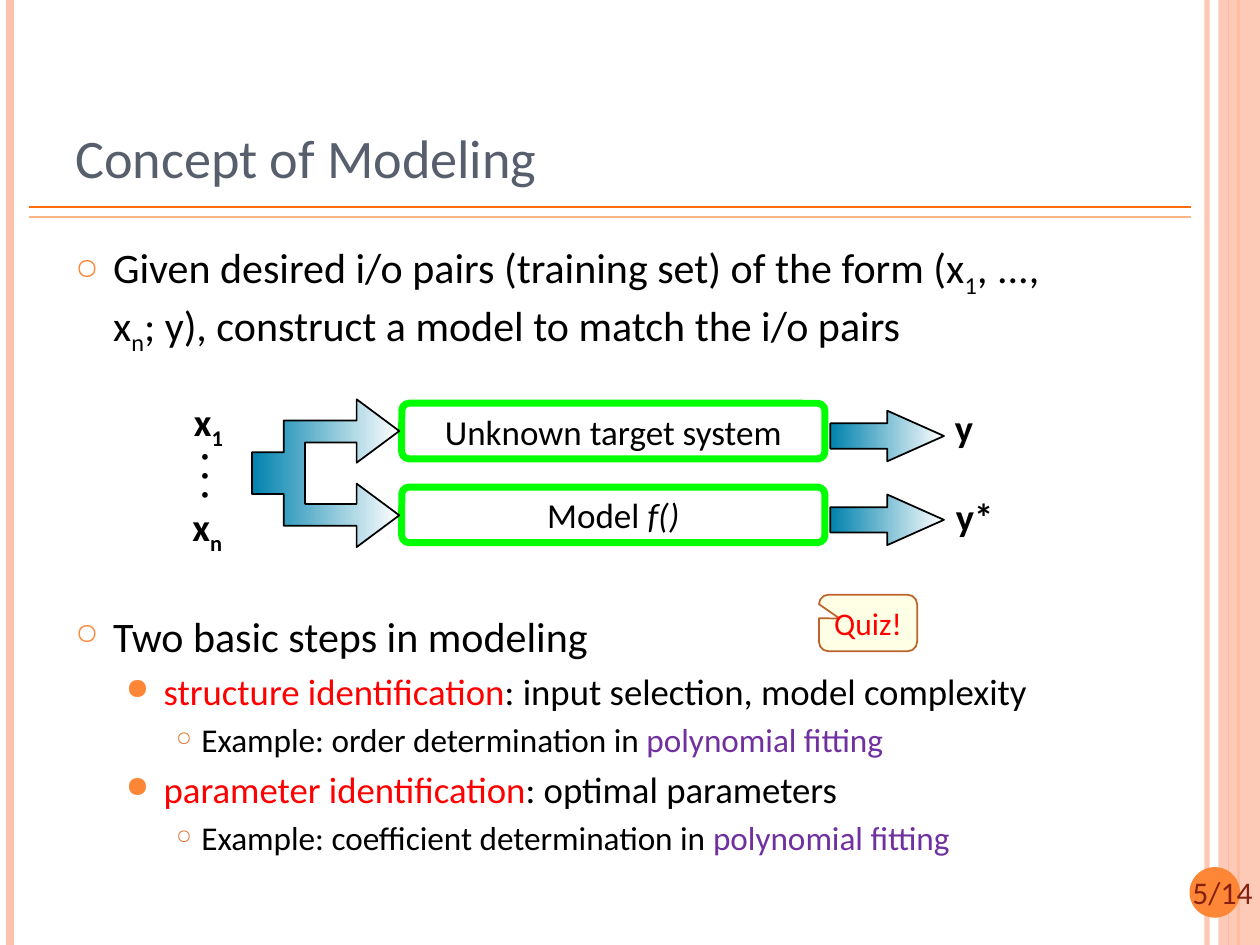
import pptx
import pptx.util
import pptx.dml.color
import pptx.enum.shapes
import pptx.enum.text
import pptx.oxml.ns
import lxml.etree

Cm, Pt = pptx.util.Cm, pptx.util.Pt
Shape = pptx.enum.shapes.MSO_SHAPE
Align = pptx.enum.text.PP_ALIGN
Anchor = pptx.enum.text.MSO_ANCHOR
BLACK, RED, PURPLE, ORANGE = "000000", "FF0000", "7030A0", "FE8637"
SUB = {"baseline": "-25000"}

rules = [
    ((24.33, 0, 24.33, 19.05), "FEC3AE", 3, 93),
    ((0.2, 0, 0.2, 19.05), "FEC3AE", 4.5, 100),
    ((24.97, 0, 24.97, 19.05), ORANGE, 1.5, 100),
    ((24.77, 0, 24.77, 19.05), ORANGE, 0.75, 100),
    ((0.58, 4.17, 24, 4.17), "FF6B0A", 1, 100),
    ((0.58, 4.37, 24, 4.37), "FEB687", 1, 100),
]
side_band = (24.56, 0, 0.84, 19.05)
page_disc = (23.98, 17.48, 1.02, 1.02)

levels = [
    dict(margin=0.76, indent=-0.76, size=24, before=6, char="○", color=ORANGE, percent=70),
    dict(margin=1.78, indent=-0.76, size=21, before=4.2, char="●", color=ORANGE, percent=80),
    dict(margin=2.54, indent=-0.51, size=19, before=3.8, char="○", color="E07631", percent=60),
]
goal = [(0, [
    ("Given desired i/o pairs (training set) of the form (x",), ("1", BLACK, SUB),
    (", ..., x",), ("n", BLACK, SUB),
    ("; y), construct a model to match the i/o pairs",),
])]
steps = [
    (0, [("Two basic steps in modeling",)]),
    (1, [("structure identification", RED), (": input selection, model complexity",)]),
    (2, [("Example: order determination in ",), ("polynomial fitting", PURPLE)]),
    (1, [("parameter identification", RED), (": optimal parameters",)]),
    (2, [("Example: coefficient determination in ",), ("polynomial fitting", PURPLE)]),
]
bodies = [((1.27, 4.75, 20.75, 2.8), goal), ((1.27, 12.19, 20.75, 6.5), steps)]

systems = [
    [("Unknown target system",)],
    [("Model ",), ("f()", BLACK, {"i": "1"})],
]
system_top, system_step = 8.13, 1.69
signals = [
    ((19, 8.13, 0.89, 1.09), 0, [("y",)]),
    ((19.02, 9.93, 1.27, 1.09), 0, [("y*",)]),
    ((3.66, 7.92, 1.14, 1.12), 0, [("x",), ("1", BLACK, SUB)]),
    ((3.63, 10.03, 1.17, 1.12), 0, [("x",), ("n", BLACK, SUB)]),
    ((3.2, 9.02, 1.5, 1.12), 270, [(". . .",)]),
]
fork_middle = 9.54
fork_half = [(5.08, 0.42), (5.72, 0.42), (5.72, 1.06), (7.19, 1.06), (7.19, 1.49),
             (8.05, 0.85), (7.19, 0.21), (7.19, 0.62), (6.15, 0.62)]

deck = pptx.Presentation()
deck.slide_width, deck.slide_height = Cm(25.4), Cm(19.05)
slide = deck.slides.add_slide(deck.slide_layouts[6])
shapes = slide.shapes


def rgb(value):
    return pptx.dml.color.RGBColor.from_string(value)


def sub(parent, tag, **attributes):
    return lxml.etree.SubElement(parent, pptx.oxml.ns.qn(tag), attributes)


def apply(target, **values):
    for name, value in values.items():
        setattr(target, name, value)


def solid(fill, color, opacity=100):
    fill.solid()
    fill.fore_color.rgb = rgb(color)
    if opacity < 100:
        color_node = fill._xPr.find(".//" + pptx.oxml.ns.qn("a:srgbClr"))
        sub(color_node, "a:alpha", val=str(opacity * 1000))


def style(shape, fill=None, opacity=100, line=None, width=1):
    shape.shadow.inherit = False
    if fill == "gradient":
        shape.fill.gradient()
        shape.fill.gradient_angle = 0
        for stop, color in zip(shape.fill.gradient_stops, ("0082AD", "FFFFFF")):
            stop.color.rgb = rgb(color)
    elif fill:
        solid(shape.fill, fill, opacity)
    else:
        shape.fill.background()
    if line:
        solid(shape.line.fill, line)
        shape.line.width = Pt(width)
    else:
        shape.line.fill.background()


def draw(kind, box, adjustments=(), **look):
    shape = shapes.add_shape(kind, *map(Cm, box))
    for index, value in enumerate(adjustments):
        shape.adjustments[index] = value
    style(shape, **look)
    return shape


def write(paragraph, runs, size, color=BLACK, bold=False):
    for text, *extra in runs:
        run = paragraph.add_run()
        run.text = text
        apply(run.font, name="Calibri", size=Pt(size), bold=bold)
        run.font.color.rgb = rgb(extra[0] if extra else color)
        for name, value in (extra[1] if len(extra) > 1 else {}).items():
            run._r.get_or_add_rPr().set(name, value)


def label(shape, runs, size, color=BLACK, bold=False, frame={}, layout={}):
    apply(shape.text_frame, **frame)
    paragraph = shape.text_frame.paragraphs[0]
    apply(paragraph, **layout)
    write(paragraph, runs, size, color, bold)


def textbox(box):
    return shapes.add_textbox(*map(Cm, box))


def bullet(paragraph, level):
    properties = paragraph._p.get_or_add_pPr()
    properties.set("marL", str(Cm(level["margin"])))
    properties.set("indent", str(Cm(level["indent"])))
    paragraph.space_before = Pt(level["before"])
    sub(sub(properties, "a:buClr"), "a:srgbClr", val=level["color"])
    sub(properties, "a:buSzPct", val=str(level["percent"] * 1000))
    sub(properties, "a:buChar", char=level["char"])


for ends, color, width, opacity in rules:
    rule = shapes.add_connector(pptx.enum.shapes.MSO_CONNECTOR.STRAIGHT, *map(Cm, ends))
    solid(rule.line.fill, color, opacity)
    rule.line.width = Pt(width)
    sub(rule._element.spPr, "a:effectLst")
draw(Shape.RECTANGLE, side_band, fill="FEC3AE", opacity=87)
draw(Shape.OVAL, page_disc, fill=ORANGE)
label(textbox((23.19, 17.48, 2.31, 1.02)), [("5/14",)], 18, "862110",
      frame=dict(word_wrap=True), layout=dict(alignment=Align.RIGHT))
label(textbox((1.27, 0.76, 20.75, 3.18)), [("Concept of Modeling",)], 31, "575F6D",
      frame=dict(word_wrap=True, vertical_anchor=Anchor.BOTTOM))

for box, items in bodies:
    frame = textbox(box).text_frame
    frame.word_wrap = True
    for index, (depth, runs) in enumerate(items):
        paragraph = frame.add_paragraph() if index else frame.paragraphs[0]
        bullet(paragraph, levels[depth])
        write(paragraph, runs, levels[depth]["size"])

centred = dict(frame=dict(word_wrap=False, vertical_anchor=Anchor.MIDDLE),
               layout=dict(alignment=Align.CENTER))
for index, runs in enumerate(systems):
    top = system_top + index * system_step
    draw(Shape.RIGHT_ARROW, (16.74, top + 0.15, 2.29, 1.02), (0.5, 1.12),
         fill="gradient", line=BLACK)
    system = draw(Shape.ROUNDED_RECTANGLE, (8.1, top, 8.53, 1.12), (0.13,),
                  line="00FF00", width=4)
    label(system, runs, 20, **centred)

outline = [(x, fork_middle - y) for x, y in fork_half]
outline += [(x, fork_middle + y) for x, y in reversed(fork_half)]
points = [(Cm(x), Cm(y)) for x, y in outline]
builder = shapes.build_freeform(*points[0])
builder.add_line_segments(points[1:], close=True)
style(builder.convert_to_shape(), fill="gradient", line=BLACK)

for box, rotation, runs in signals:
    signal = textbox(box)
    signal.rotation = rotation
    label(signal, runs, 22, bold=True, frame=dict(word_wrap=False),
          layout=dict(line_spacing=0.9, space_before=Pt(6.6)))

quiz = draw(Shape.ROUNDED_RECTANGULAR_CALLOUT, (16.51, 11.99, 1.98, 1.14),
            (-0.29, -0.08, 0.17), fill="FFFFCC", opacity=50, line="BC6329")
label(quiz, [("Quiz!",)], 18, RED, **centred)

deck.save("out.pptx")
